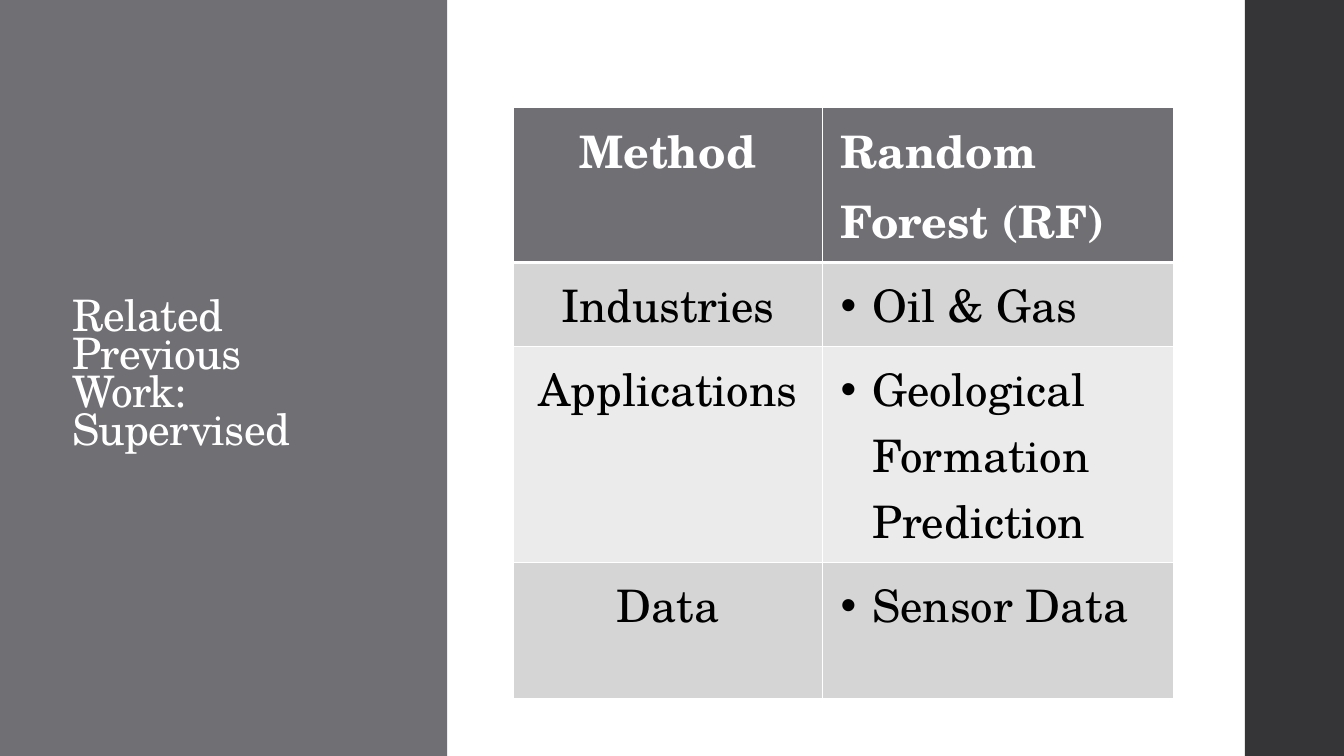
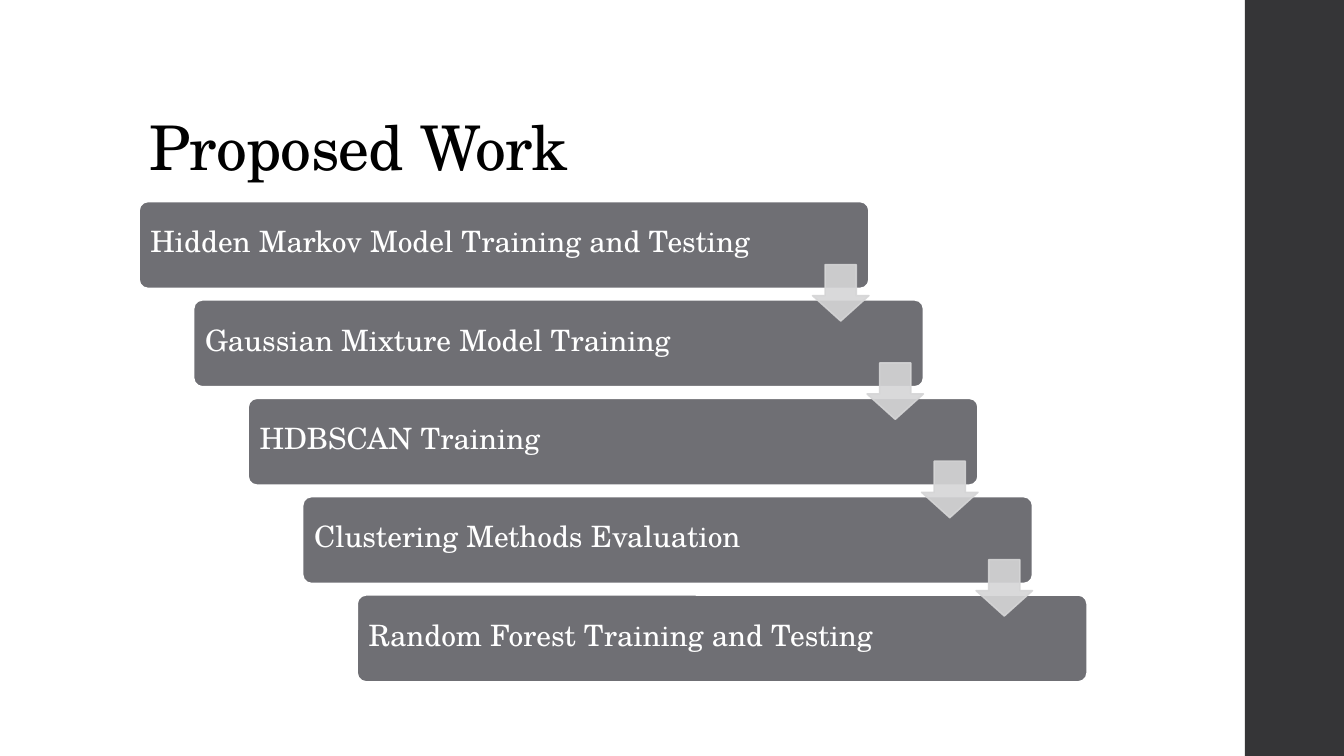
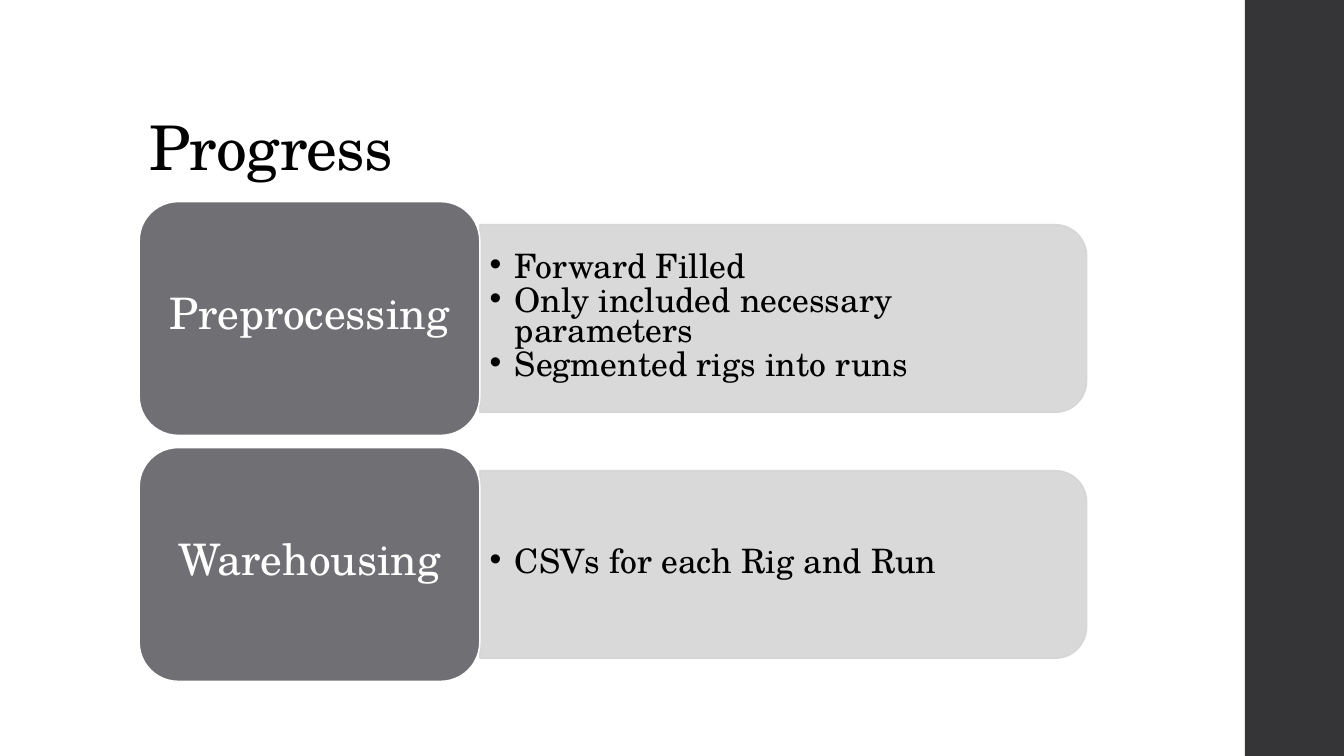
"""Build three slides on supervised methods, planned work and progress."""
from lxml import etree
from pptx import Presentation
from pptx import util as u
from pptx.dml import color
from pptx.enum import shapes, text
from pptx.oxml import ns

Pt = u.Pt
FONT = "TeX Gyre Schola"
INK = {"gray": "6F6F74", "dark": "353537", "pale": "D5D5D6",
       "light": "EBEBEB", "white": "FFFFFF", "black": "000000"}
KIND = shapes.MSO_SHAPE
MID = text.MSO_ANCHOR.MIDDLE
CENTER = text.PP_ALIGN.CENTER
WIDE, HIGH = 960, 540
LEFT, TOP = 99.4, 144
TIGHT = 0.73


def rgb(name):
    return color.RGBColor.from_string(INK[name])


def sub(node, tag, **attrs):
    return etree.SubElement(node, ns.qn(tag), attrs)


def write(par, words, size, ink, bold=False, space=None):
    run = par.add_run()
    run.text = words
    font = run.font
    font.name, font.size, font.bold = FONT, Pt(size), bold
    font.color.rgb = rgb(ink)
    if space:
        par.line_spacing = space
    return run


def bullet(par, indent):
    props = par._p.get_or_add_pPr()
    props.set("marL", str(Pt(indent)))
    props.set("indent", str(-Pt(indent)))
    sub(props, "a:buFont", typeface="Arial")
    sub(props, "a:buChar", char="•")


def inset(item, side, edge):
    item.margin_left = item.margin_right = Pt(side)
    item.margin_top = item.margin_bottom = Pt(edge)


def shape(slide, kind, box, fill, line=None, adjust=(), alpha=None):
    item = slide.shapes.add_shape(kind, *map(Pt, box))
    item.shadow.inherit = False
    item.fill.solid()
    item.fill.fore_color.rgb = rgb(fill)
    if line:
        item.line.color.rgb = rgb(line)
        item.line.width = Pt(1.1)
    else:
        item.line.fill.background()
    for index, value in enumerate(adjust):
        item.adjustments[index] = value
    if alpha:
        for tint in item._element.spPr.iter(ns.qn("a:srgbClr")):
            sub(tint, "a:alpha", val=str(alpha * 1000))
    return item


def label(item, words, size, side, edge, align=text.PP_ALIGN.LEFT):
    frame = item.text_frame
    frame.word_wrap = True
    frame.vertical_anchor = MID
    inset(frame, side, edge)
    par = frame.paragraphs[0]
    par.alignment = align
    write(par, words, size, "white", space=TIGHT)


def textbox(slide, box, anchor):
    frame = slide.shapes.add_textbox(*map(Pt, box)).text_frame
    frame.word_wrap = True
    frame.vertical_anchor = anchor
    return frame


def title(slide, words, box=(LEFT, 28.8, 763, 104.4), size=44, ink="black",
          anchor=text.MSO_ANCHOR.BOTTOM):
    frame = textbox(slide, box, anchor)
    run = write(frame.paragraphs[0], words, size, ink, space=TIGHT)
    run.font._element.set("spc", "-50")


def start(deck):
    slide = deck.slides.add_slide(deck.slide_layouts[6])
    shape(slide, KIND.RECTANGLE, (889.2, 0, WIDE - 889.2, HIGH), "dark")
    return slide


def border(cell, top, bottom):
    props = cell._tc.get_or_add_tcPr()
    for side, width in zip("LRTB", (1, 1, top, bottom)):
        line = sub(props, "a:ln" + side, w=str(Pt(width)))
        sub(sub(line, "a:solidFill"), "a:srgbClr", val=INK["white"])


def grid(slide, rows, spot, cols, highs):
    frame = slide.shapes.add_table(len(rows), len(cols), *map(
        Pt, (*spot, sum(cols), sum(highs))))
    table = frame.table
    table.first_row = table.horz_banding = False
    for col, width in zip(table.columns, cols):
        col.width = Pt(width)
    for row, high in zip(table.rows, highs):
        row.height = Pt(high)
    for r, row in enumerate(rows):
        head = r == 0
        for c, words in enumerate(row):
            cell = table.cell(r, c)
            inset(cell, 13, 6.5)
            border(cell, 3 if r == 1 else 1, 3 if head else 1)
            cell.fill.solid()
            fill = "gray" if head else "pale" if r % 2 else "light"
            cell.fill.fore_color.rgb = rgb(fill)
            par = cell.text_frame.paragraphs[0]
            if c == 0:
                par.alignment = CENTER
            elif not head:
                bullet(par, 22.5)
            write(par, words, 32, "white" if head else "black", head)


def stairs(slide, steps):
    wide, high, arrow = 521.3, 62, 40.3
    spots = [(LEFT + 38.95 * i, TOP + 70.25 * i) for i in range(len(steps))]
    for (x, y), words in zip(spots, steps):
        item = shape(slide, KIND.ROUNDED_RECTANGLE, (x, y, wide, high),
                     "gray", "white", [0.1])
        label(item, words, 21, 6.3, 6.3)
    for x, y in spots[:-1]:
        box = (x + wide - arrow, y + 45, arrow, arrow)
        shape(slide, KIND.DOWN_ARROW, box, "pale", "pale", [0.55, 0.45], 90)


def group(slide, y, name, points):
    wide, high, span, deep = 243.3, 167, 433.4, 134
    x, mid = LEFT + wide, y + high / 2
    box = (x + (span - deep) / 2, mid - span / 2, deep, span)
    panel = shape(slide, KIND.ROUND_2_SAME_RECTANGLE, box, "pale", "pale",
                  alpha=90)
    panel.rotation = 90
    frame = textbox(slide, (x, mid - 60.5, 427, 121), MID)
    for index, words in enumerate(points):
        par = frame.add_paragraph() if index else frame.paragraphs[0]
        par.space_after = Pt(3.6)
        write(par, words, 24, "black", space=TIGHT)
        bullet(par, 18)
    item = shape(slide, KIND.ROUNDED_RECTANGLE, (LEFT, y, wide, high),
                 "gray", "white")
    label(item, name, 31, 9.4, 4.3, CENTER)


def related(deck):
    slide = start(deck)
    shape(slide, KIND.RECTANGLE, (0, 0, 319.5, HIGH), "gray")
    title(slide, "Related Previous Work: Supervised",
          (44.6, 65.5, 213.8, 408.2), 31, "white", MID)
    rows = [("Method", "Random Forest (RF)"),
            ("Industries", "Oil & Gas"),
            ("Applications", "Geological Formation Prediction"),
            ("Data", "Sensor Data")]
    grid(slide, rows, (366.8, 76.6), (220.7, 250.6), (111, 60, 154.5, 97.2))


def planned(deck):
    slide = start(deck)
    title(slide, "Proposed Work")
    stairs(slide, ["Hidden Markov Model Training and Testing",
                   "Gaussian Mixture Model Training",
                   "HDBSCAN Training",
                   "Clustering Methods Evaluation",
                   "Random Forest Training and Testing"])


def progress(deck):
    slide = start(deck)
    title(slide, "Progress")
    groups = {"Preprocessing": ["Forward Filled",
                                "Only included necessary parameters",
                                "Segmented rigs into runs"],
              "Warehousing": ["CSVs for each Rig and Run"]}
    for index, (name, points) in enumerate(groups.items()):
        group(slide, TOP + 175.7 * index, name, points)


def main():
    deck = Presentation()
    deck.slide_width, deck.slide_height = Pt(WIDE), Pt(HIGH)
    related(deck)
    planned(deck)
    progress(deck)
    deck.save("out.pptx")


if __name__ == "__main__":
    main()
